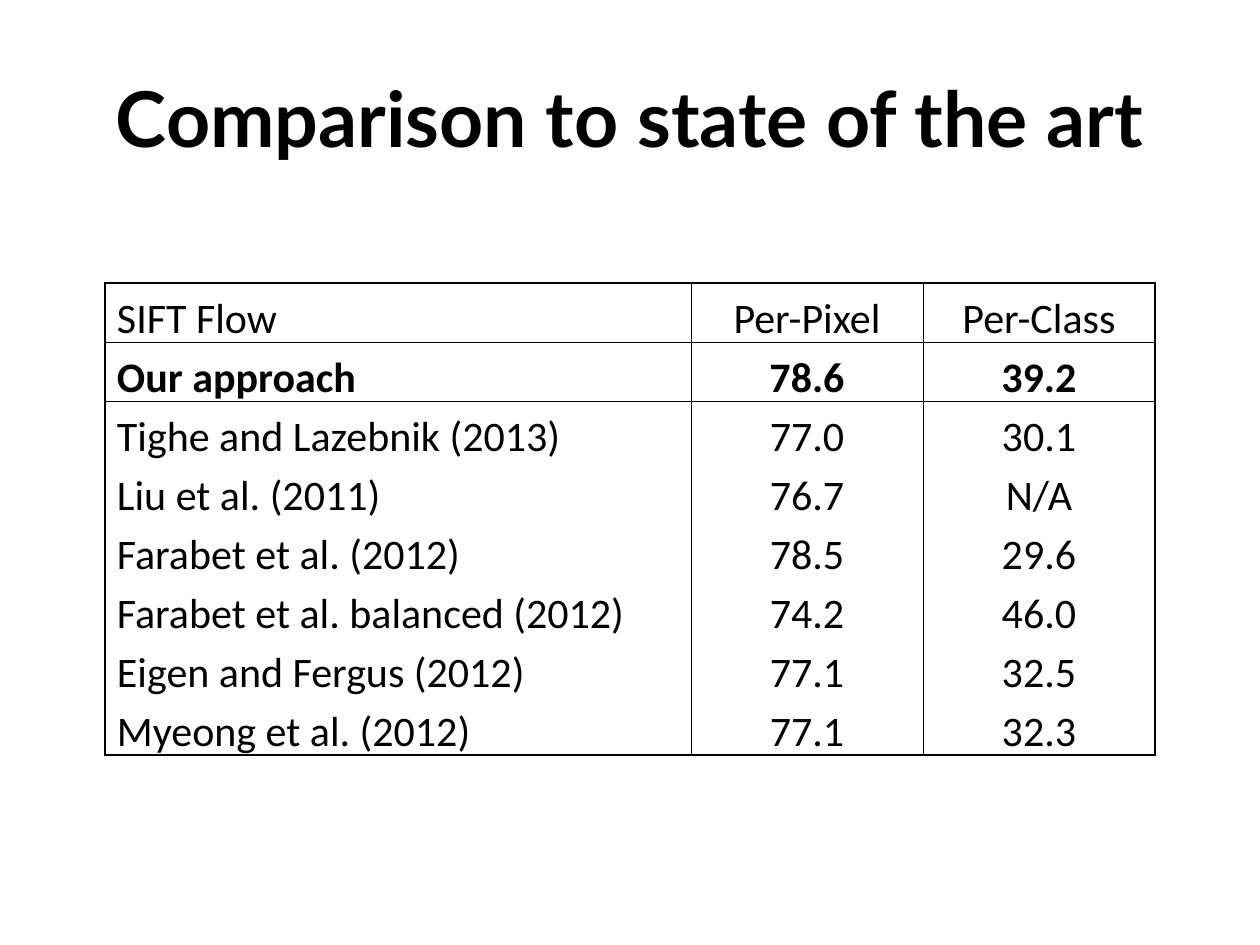
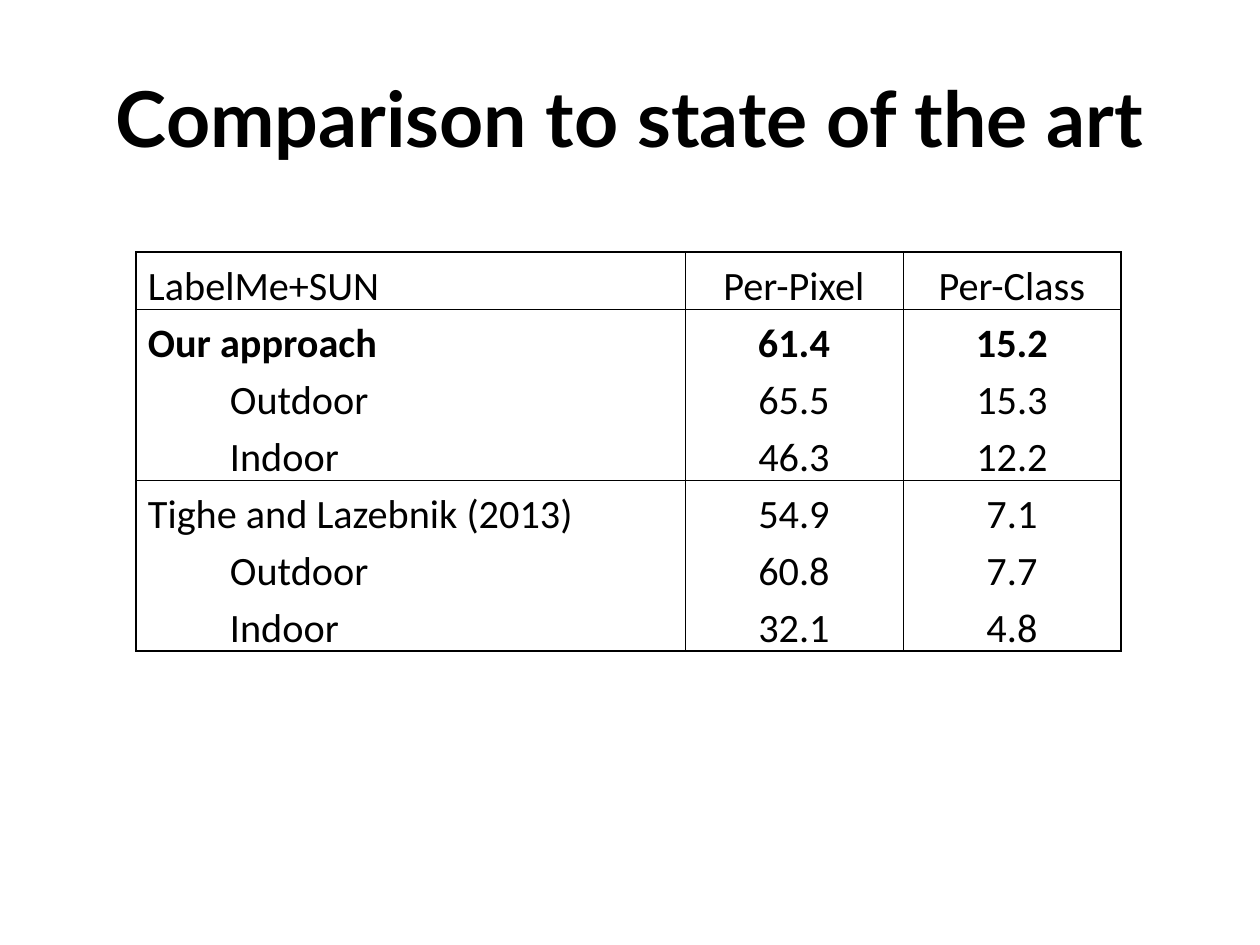
from lxml.etree import SubElement
from pptx import Presentation
from pptx.dml.color import RGBColor
from pptx.enum.text import MSO_ANCHOR as Anchor, PP_ALIGN as Align
from pptx.oxml.ns import qn
from pptx.util import Emu, Pt

PX_PER_INCH = 126
BLACK = "000000"
TITLE_FONT, TABLE_FONT = "Lato", "Calibri"
TITLE = "Comparison to state of the art"
OUTER, INNER = 1, 0.5
LABEL_INDENT, SUBLABEL_INDENT, CELL_PAD = 12, 94, 3
METRICS = ("Per-Pixel", "Per-Class")
OURS = "Our approach"

SIFT_FLOW = [
    ("SIFT Flow", *METRICS),
    (OURS, "78.6", "39.2"),
    ("Tighe and Lazebnik (2013)", "77.0", "30.1"),
    ("Liu et al. (2011)", "76.7", "N/A"),
    ("Farabet et al. (2012)", "78.5", "29.6"),
    ("Farabet et al. balanced (2012)", "74.2", "46.0"),
    ("Eigen and Fergus (2012)", "77.1", "32.5"),
    ("Myeong et al. (2012)", "77.1", "32.3"),
]
LABELME_SUN = [
    ("LabelMe+SUN", *METRICS),
    (OURS, "61.4", "15.2"),
    ("Outdoor", "65.5", "15.3"),
    ("Indoor", "46.3", "12.2"),
    ("Tighe and Lazebnik (2013)", "54.9", "7.1"),
    ("Outdoor", "60.8", "7.7"),
    ("Indoor", "32.1", "4.8"),
]


def px(length):
    return Emu(round(length * 914400 / PX_PER_INCH))


def rgb(hex_color):
    return RGBColor.from_string(hex_color)


def write(frame, text, font, size, bold=False, align=Align.LEFT, spacing=1.0):
    frame.word_wrap = True
    paragraph = frame.paragraphs[0]
    paragraph.alignment = align
    paragraph.line_spacing = spacing
    run = paragraph.add_run()
    run.text = text
    run.font.name = font
    run.font.size = Pt(size)
    run.font.bold = bold
    run.font.color.rgb = rgb(BLACK)


def add_title(slide):
    frame = slide.shapes.add_textbox(px(63), px(38), px(1134), px(158)).text_frame
    frame.vertical_anchor = Anchor.MIDDLE
    write(frame, TITLE, TITLE_FONT, 44, bold=True, align=Align.CENTER)


def set_borders(cell, **widths):
    properties = cell._tc.get_or_add_tcPr()
    for side in "LRTB":
        width = widths[side]
        line = SubElement(properties, qn(f"a:ln{side}"), w=str(Pt(width)))
        if width:
            fill = SubElement(line, qn("a:solidFill"))
            SubElement(fill, qn("a:srgbClr"), val=BLACK)
        else:
            SubElement(line, qn("a:noFill"))


def add_results(slide, results, left, top, widths, row_height, size, ruled_after):
    last_row, last_column = len(results) - 1, len(widths) - 1
    rules = [OUTER, *(INNER if row in ruled_after else 0 for row in range(last_row)), OUTER]
    table = slide.shapes.add_table(
        len(results), len(widths), px(left), px(top),
        px(sum(widths)), px(row_height * len(results))).table
    table.first_row = table.horz_banding = False
    for column, width in zip(table.columns, widths):
        column.width = px(width)
    for r, result in enumerate(results):
        table.rows[r].height = px(row_height)
        for c, text in enumerate(result):
            cell = table.cell(r, c)
            set_borders(cell, L=INNER if c else OUTER,
                        R=OUTER if c == last_column else INNER,
                        T=rules[r], B=rules[r + 1])
            cell.fill.background()
            cell.vertical_anchor = Anchor.BOTTOM
            indent = SUBLABEL_INDENT if text in ("Outdoor", "Indoor") else LABEL_INDENT
            cell.margin_left = px(CELL_PAD if c else indent)
            cell.margin_right = cell.margin_top = px(CELL_PAD)
            cell.margin_bottom = 0
            write(cell.text_frame, text, TABLE_FONT, size, bold=result[0] == OURS,
                  align=Align.CENTER if c else Align.LEFT, spacing=0.86)


def add_comparison(deck, results, **layout):
    slide = deck.slides.add_slide(deck.slide_layouts[6])
    add_title(slide)
    add_results(slide, results, **layout)


def main():
    deck = Presentation()
    deck.slide_width, deck.slide_height = px(1260), px(945)
    add_comparison(deck, SIFT_FLOW, left=105, top=283, widths=(586, 232, 232),
                   row_height=59, size=24, ruled_after=(0, 1))
    add_comparison(deck, LABELME_SUN, left=136, top=252, widths=(549, 218, 218),
                   row_height=57, size=23, ruled_after=(0, 3))
    deck.save("out.pptx")


if __name__ == "__main__":
    main()
